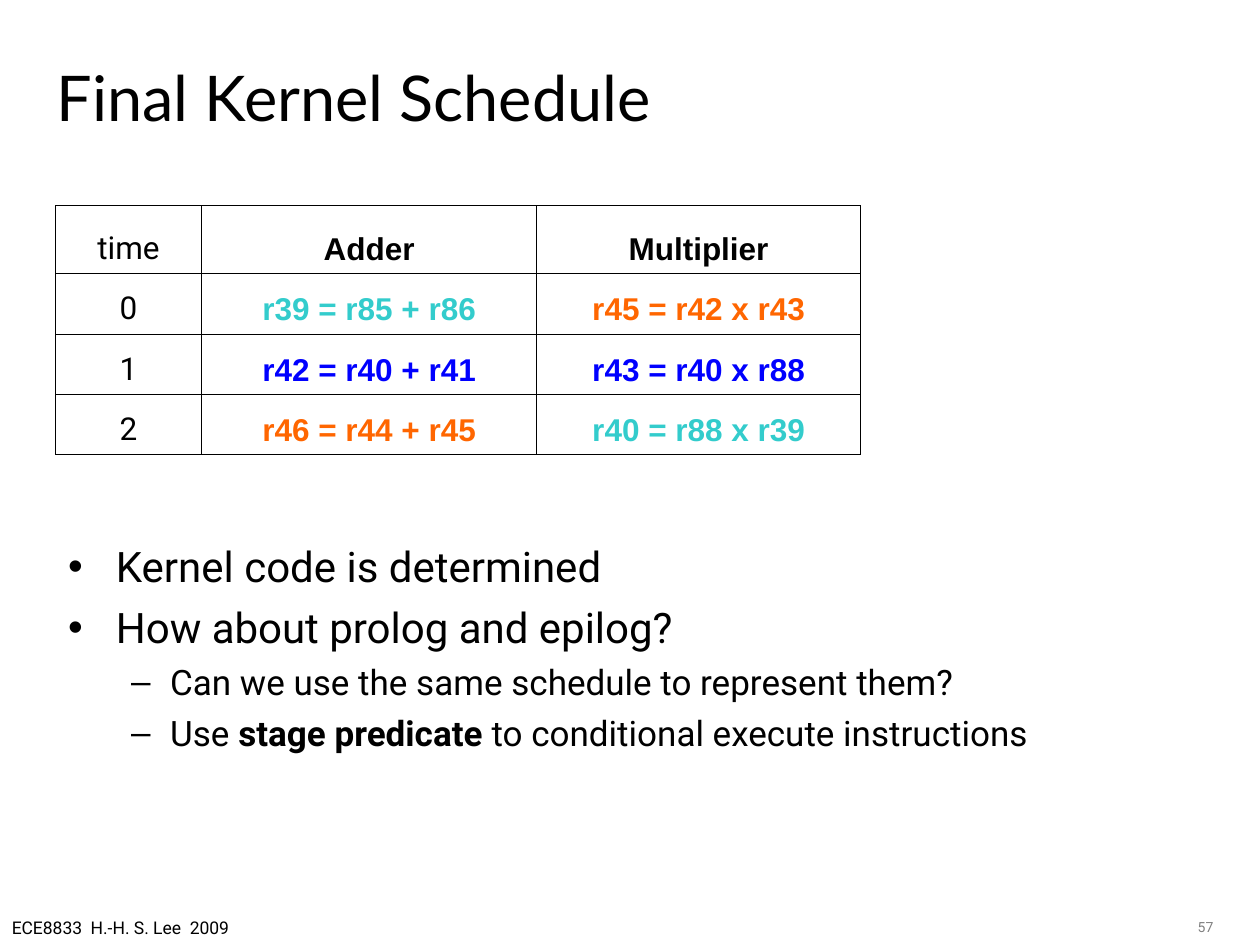
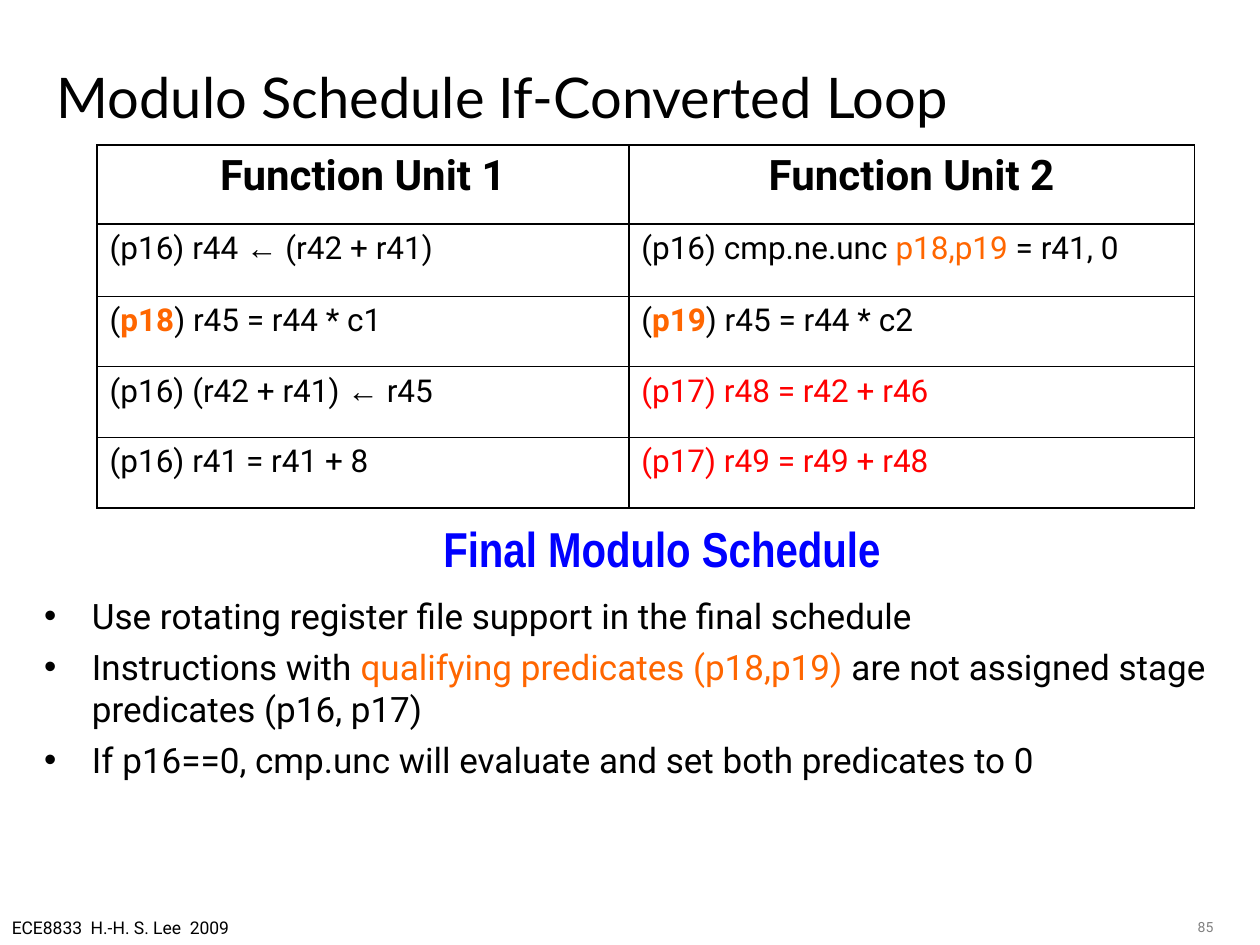
import dataclasses
import lxml.etree
import pptx
import pptx.dml.color
import pptx.enum.text
import pptx.oxml.ns
import pptx.util

Inches = pptx.util.Inches
Align = pptx.enum.text.PP_ALIGN
Anchor = pptx.enum.text.MSO_ANCHOR
Fit = pptx.enum.text.MSO_AUTO_SIZE
qn = pptx.oxml.ns.qn


@dataclasses.dataclass(frozen=True)
class Theme:
    black: str = "000000"
    grey: str = "808080"
    teal: str = "33CCCC"
    orange: str = "FF6600"
    blue: str = "0000FF"
    red: str = "FF0000"
    head: str = "Lato"
    text: str = "Roboto"
    code: str = "Arial"
    label: str = "Arial Narrow"
    large: int = 24
    mid: int = 20
    cell: int = 18
    banner: int = 28
    foot: int = 10
    page: int = 8
    thin: float = 0.45
    thick: float = 1.08


theme = Theme()


def write(par, text, size=theme.cell, face=theme.text, color=theme.black, bold=False,
          align=Align.LEFT, space=0, mark=None, left=0, hang=0):
    props = par._p.get_or_add_pPr()
    if mark:
        props.set("marL", str(Inches(left)))
        props.set("indent", str(-Inches(hang)))
        tint = lxml.etree.SubElement(props, qn("a:buClr"))
        lxml.etree.SubElement(tint, qn("a:srgbClr"), val=theme.black)
        lxml.etree.SubElement(props, qn("a:buChar"), char=mark)
    par.alignment = align
    par.space_before = pptx.util.Pt(space)
    for part in [text] if isinstance(text, str) else text:
        words, extra = (part, {}) if isinstance(part, str) else part
        run = par.add_run()
        run.text = words
        font = run.font
        font.size = pptx.util.Pt(size)
        font.name = extra.get("face", face)
        font.bold = extra.get("bold", bold)
        font.color.rgb = pptx.dml.color.RGBColor.from_string(extra.get("color", color))


def place(shape, box):
    shape.left, shape.top, shape.width, shape.height = map(Inches, box)


mid = dict(align=Align.CENTER)
code = dict(face=theme.code, bold=True, **mid)
teal = dict(code, color=theme.teal)
orange = dict(code, color=theme.orange)
blue = dict(code, color=theme.blue)
unit = dict(size=theme.large, bold=True, **mid)
red = dict(color=theme.red)
arrow = ("←", dict(face=theme.code))
glow = dict(color=theme.orange)
strong = dict(color=theme.orange, bold=True)
main = dict(size=theme.large, space=6, mark="•", left=0.38, hang=0.38)
sub = dict(size=theme.mid, space=5, mark="–", left=0.81, hang=0.31)
point = dict(main, size=theme.mid, space=5)

pages = [
    dict(
        title="Final Kernel Schedule", size=36, page="57",
        spot=(0.44, 1.63), cols=(1.16, 2.66, 2.57), rows=(0.54, 0.48, 0.48, 0.48),
        heavy=theme.thin, anchor=Anchor.BOTTOM,
        cells=[
            [("time", mid), ("Adder", code), ("Multiplier", code)],
            [("0", mid), ("r39 = r85 + r86", teal), ("r45 = r42 x r43", orange)],
            [("1", mid), ("r42 = r40 + r41", blue), ("r43 = r40 x r88", blue)],
            [("2", mid), ("r46 = r44 + r45", orange), ("r40 = r88 x r39", teal)],
        ],
        box=(0.44, 4.24, 9.13, 2.9),
        list=[
            ("Kernel code is determined", 0, main),
            ("How about prolog and epilog?", 0, main),
            ("Can we use the same schedule to represent them?", 1, sub),
            (["Use ", ("stage predicate", dict(bold=True)),
              " to conditional execute instructions"], 1, sub),
        ],
    ),
    dict(
        title="Modulo Schedule If-Converted Loop", size=32, page="85",
        spot=(0.77, 1.15), cols=(4.22, 4.49), rows=(0.63, 0.57, 0.56, 0.56, 0.56),
        heavy=theme.thick, anchor=Anchor.TOP,
        cells=[
            [("Function Unit 1", unit), ("Function Unit 2", unit)],
            [(["(p16) r44 ", arrow, " (r42 + r41)"], {}),
             (["(p16) cmp.ne.unc ", ("p18,p19", glow), " = r41, 0"], {})],
            [(["(", ("p18", strong), ") r45 = r44 * c1"], {}),
             (["(", ("p19", strong), ") r45 = r44 * c2"], {})],
            [(["(p16) (r42 + r41) ", arrow, " r45"], {}),
             ("(p17) r48 = r42 + r46", red)],
            [("(p16) r41 = r41 + 8", {}), ("(p17) r49 = r49 + r48", red)],
        ],
        box=(0.25, 4.67, 9.58, 2.33),
        list=[
            ("Use rotating register file support in the final schedule", 0, point),
            (["Instructions with ", ("qualifying predicates (p18,p19)", glow),
              " are not assigned stage predicates (p16, p17)"], 0, point),
            ("If p16==0, cmp.unc will evaluate and set both predicates to 0", 0, point),
        ],
        banner="Final Modulo Schedule",
    ),
]

deck = pptx.Presentation()
deck.slide_width = Inches(10)
deck.slide_height = Inches(7.5)

for page in pages:
    slide = deck.slides.add_slide(deck.slide_layouts[1])
    title, body = slide.placeholders
    place(title, (0.35, 0.35, 9, 0.83))
    title.text_frame.auto_size = Fit.NONE
    title.text_frame.vertical_anchor = Anchor.MIDDLE
    write(title.text_frame.paragraphs[0], page["title"], size=page["size"], face=theme.head)

    place(body, page["box"])
    frame = body.text_frame
    frame.auto_size = Fit.NONE
    for i, (text, level, style) in enumerate(page["list"]):
        par = frame.add_paragraph() if i else frame.paragraphs[0]
        par.level = level
        write(par, text, **dict(style, space=style["space"] if i else 0))

    cols, rows = page["cols"], page["rows"]
    size = (sum(cols), sum(rows))
    table = slide.shapes.add_table(len(rows), len(cols), *map(Inches, page["spot"] + size)).table
    table.first_row = table.horz_banding = False
    for col, width in zip(table.columns, cols):
        col.width = Inches(width)
    for i, (row, height) in enumerate(zip(table.rows, rows)):
        row.height = Inches(height)
        heavy = page["heavy"]
        top = heavy if i < 2 else theme.thin
        base = heavy if i in (0, len(rows) - 1) else theme.thin
        for cell, (text, style) in zip(row.cells, page["cells"][i]):
            props = cell._tc.get_or_add_tcPr()
            for side, weight in zip("LRTB", (heavy, heavy, top, base)):
                line = lxml.etree.SubElement(props, qn("a:ln" + side), w=str(pptx.util.Pt(weight)))
                fill = lxml.etree.SubElement(line, qn("a:solidFill"))
                lxml.etree.SubElement(fill, qn("a:srgbClr"), val=theme.black)
            cell.fill.background()
            cell.vertical_anchor = page["anchor"]
            write(cell.text_frame.paragraphs[0], text, **style)

    notes = [
        ("ECE8833  H.-H. S. Lee  2009", (-0.02, 7.23, 1.95, 0.27), False,
         dict(size=theme.foot, align=Align.CENTER)),
        (page["page"], (9.07, 7.24, 0.66, 0.17), True,
         dict(size=theme.page, color=theme.grey, align=Align.RIGHT)),
    ]
    if "banner" in page:
        notes.append((page["banner"], (3.42, 4.07, 3.67, 0.57), False,
                      dict(size=theme.banner, face=theme.label, color=theme.blue, bold=True)))
    for text, box, wrap, style in notes:
        frame = slide.shapes.add_textbox(*map(Inches, box)).text_frame
        frame.word_wrap = wrap
        write(frame.paragraphs[0], text, **style)

deck.save("out.pptx")
